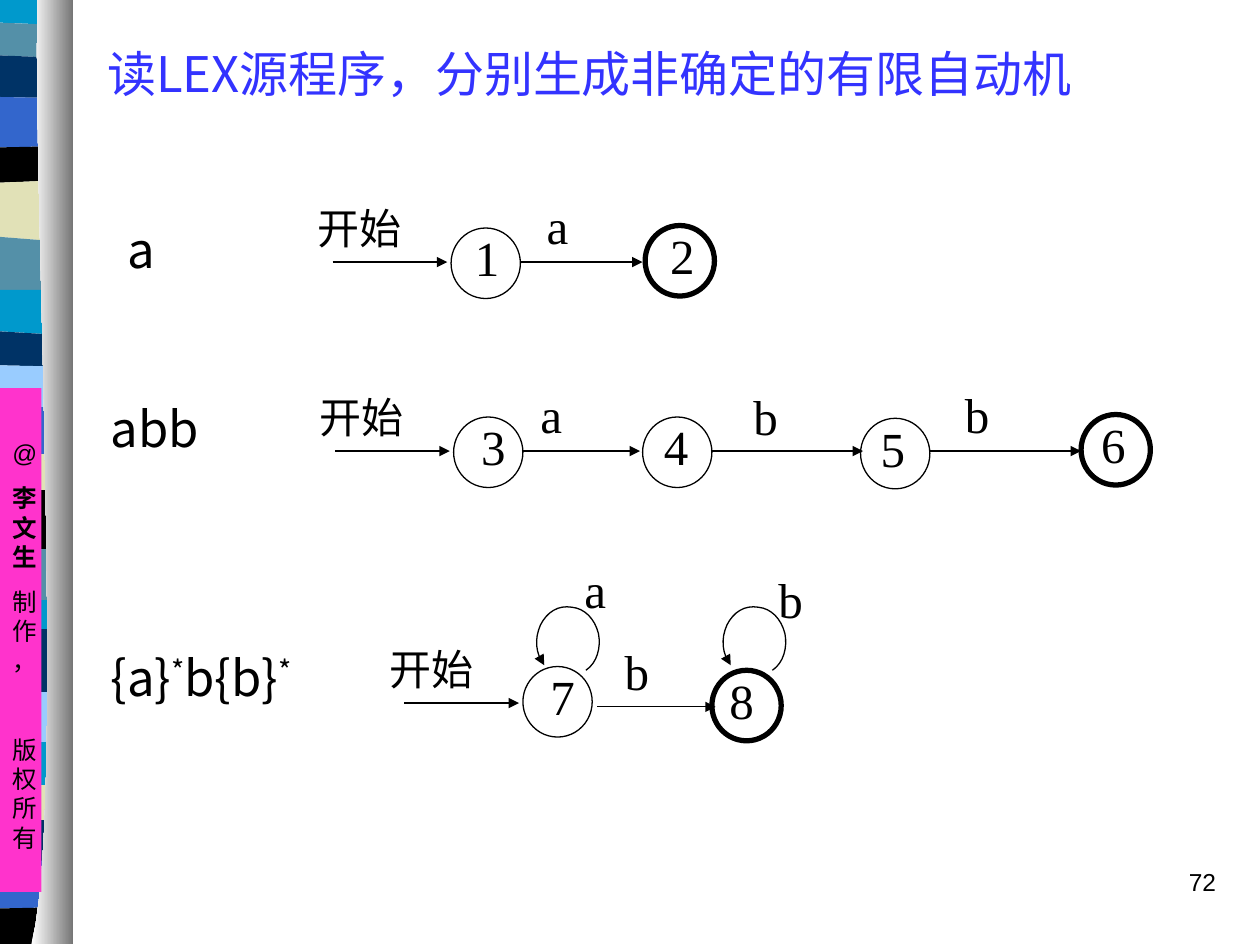
from lxml import etree
from pptx import Presentation
from pptx.dml.color import RGBColor
from pptx.enum.shapes import MSO_CONNECTOR, MSO_SHAPE
from pptx.enum.text import MSO_ANCHOR, PP_ALIGN
from pptx.oxml.ns import qn
from pptx.util import Inches, Pt

LINE = MSO_CONNECTOR.STRAIGHT
OVAL, RECT = MSO_SHAPE.OVAL, MSO_SHAPE.RECTANGLE
LEFT, MID, RIGHT = PP_ALIGN.LEFT, PP_ALIGN.CENTER, PP_ALIGN.RIGHT
SANS, SERIF, ARIAL = "Noto Sans CJK SC", "Times New Roman", "Arial"
HUES = {"text": "000000", "title": "3333FF", "pink": "FF33CC",
        "white": "FFFFFF", "grey": "767676", "cyan": "0099CC",
        "teal": "5490A8", "navy": "003366", "blue": "3366CC",
        "black": "000000", "sand": "E1E1B7", "sky": "99CCFF"}

# Colour of each stripe, with the height of its top edge at left and right
BANDS = [("cyan", 0, 0), ("teal", 0.18, 0.2), ("navy", 0.44, 0.46),
         ("blue", 0.77, 0.78), ("black", 1.17, 1.16), ("sand", 1.45, 1.43),
         ("teal", 1.88, 1.92), ("cyan", 2.3, 2.3), ("navy", 2.63, 2.66),
         ("sky", 2.9, 2.91), ("blue", 3.23, 3.23), ("sand", 3.6, 3.6),
         ("black", 3.89, 3.89), ("teal", 4.36, 4.36), ("cyan", 4.76, 4.76),
         ("navy", 4.99, 4.99), ("sky", 5.49, 5.49), ("cyan", 5.89, 5.89),
         ("sand", 6.23, 6.23), ("navy", 6.51, 6.51), ("blue", 6.83, 6.83),
         ("black", 7.21, 7.2)]
LOOP = [(0.4, 0.51), (0.49, 0.45), (0.52, 0.33), (0.5, 0.22),
        (0.47, 0.1), (0.39, 0.02), (0.29, 0.01),
        (0.18, -0.01), (0.09, 0.05), (0.04, 0.15),
        (-0.01, 0.26), (0, 0.38), (0.07, 0.47)]


def rgb(name):
    return RGBColor.from_string(HUES[name])


def style(para, size, font, hue="text", align=LEFT):
    para.alignment = align
    para.font.size, para.font.name = Pt(size), font
    para.font.color.rgb = rgb(hue)
    face = para._p.pPr.find(qn("a:defRPr"))
    etree.SubElement(face, qn("a:ea")).set("typeface", SANS)


def label(slide, text, box, size=28, font=SERIF, align=LEFT):
    frame = slide.shapes.add_textbox(*map(Inches, box)).text_frame
    frame.word_wrap = True
    para = frame.paragraphs[0]
    para.text = text
    style(para, size, font, align=align)
    return para


def curve(knots, steps=8):
    """Sample a chain of cubic curves whose knots share end points."""
    points = [knots[0]]
    for i in range(0, len(knots) - 1, 3):
        for n in range(1, steps + 1):
            t = n / steps
            parts = ((1 - t) ** 3, 3 * t * (1 - t) ** 2,
                     3 * t * t * (1 - t), t ** 3)
            points.append(tuple(
                sum(w * k[axis] for w, k in zip(parts, knots[i:i + 4]))
                for axis in (0, 1)))
    return points


def outline(slide, points, close=True):
    spots = [(Inches(x), Inches(y)) for x, y in points]
    pen = slide.shapes.build_freeform(*spots[0])
    pen.add_line_segments(spots[1:], close=close)
    shape = pen.convert_to_shape()
    shape.shadow.inherit = False
    if close:
        shape.line.fill.background()
    else:
        shape.fill.background()
    return shape


def ink(shape, width=0.75):
    shape.line.color.rgb = rgb("black")
    shape.line.width = Pt(width)


def tip(shape):
    """Put an arrowhead at the end of a line."""
    line = shape.line._get_or_add_ln()
    etree.SubElement(line, qn("a:tailEnd")).set("type", "triangle")


def arrow(slide, x1, x2, y):
    line = slide.shapes.add_connector(
        LINE, Inches(x1), Inches(y), Inches(x2), Inches(y))
    ink(line)
    tip(line)
    etree.SubElement(line._element.spPr, qn("a:effectLst"))


def stripes(slide, left, top, width, height):
    ends = BANDS[1:] + [("", height, height)]
    for (hue, y1, y2), (_, y3, y4) in zip(BANDS, ends):
        band = outline(slide, [
            (left, top + y1), (left + width, top + y2),
            (left + width, top + y4), (left, top + y3)])
        band.fill.solid()
        band.fill.fore_color.rgb = rgb(hue)


def ribbon(slide, left, top, width, height):
    edge = curve([(left, top), (left - 0.05, top + 1.25),
                  (left + 0.23, top + 6.46), (left - 0.05, top + height)], 24)
    right = left + width
    shape = outline(slide, edge + [(right, top + height), (right, top)])
    shape.fill.gradient()
    shape.fill.gradient_angle = 0
    for stop, hue in zip(shape.fill.gradient_stops, ("white", "grey")):
        stop.color.rgb = rgb(hue)


def credit(slide, *box):
    shape = slide.shapes.add_shape(RECT, *map(Inches, box))
    shape.shadow.inherit = False
    shape.fill.solid()
    shape.fill.fore_color.rgb = rgb("pink")
    shape.line.fill.background()
    frame = shape.text_frame
    frame.word_wrap = True
    frame.vertical_anchor = MSO_ANCHOR.TOP
    frame.margin_top = Inches(0.4)
    rows = [("@", 8.8), ("李文生", 8.8), ("制作，", 8.8), ("版权所有", 34)]
    for i, (text, gap) in enumerate(rows):
        para = frame.add_paragraph() if i else frame.paragraphs[0]
        para.text = text
        style(para, 14, ARIAL, align=MID)
        para.space_before = Pt(gap)
        para.font.bold = i == 1


def heading(slide, *box):
    title = slide.shapes.title
    title.left, title.top, title.width, title.height = map(Inches, box)
    title.text = "读LEX源程序，分别生成非确定的有限自动机"
    title.text_frame.vertical_anchor = MSO_ANCHOR.MIDDLE
    style(title.text_frame.paragraphs[0], 28, SANS, "title")


def graph(slide, left, mid, states, edges, marks, drop=0, loops=()):
    """Draw an automaton about the line mid; its last state is final."""
    label(slide, "开始", (left, mid - 0.52, 1.21, 0.65), 24)
    arrow(slide, left + 0.22, left + 1.13, mid)
    for text, x, y, nudge in states:
        x, y = left + x, mid + y
        ring = slide.shapes.add_shape(
            OVAL, *map(Inches, (x, y, 0.55, 0.56)))
        ring.shadow.inherit = False
        ring.fill.background()
        ink(ring, 3 if text == states[-1][0] else 0.75)
        label(slide, text, (x + nudge, y - 0.05, 0.61, 0.65))
    for start, end in edges:
        arrow(slide, left + start, left + end, mid + drop)
    for x in loops:
        loop = outline(slide, [(left + x + a, mid - 0.77 + b)
                               for a, b in curve(LOOP)], close=False)
        ink(loop)
        tip(loop)
    for text, x, y in marks:
        label(slide, text, (left + x, mid + y, 0.75, 0.77))


def regex(slide, text, *box):
    """Write a pattern with its stars raised."""
    para = label(slide, "", box, font=SANS)
    for part in text.replace("*", " * ").split():
        run = para.add_run()
        run.text = part
        if part == "*":
            run._r.get_or_add_rPr().set("baseline", "30000")


def main():
    deck = Presentation()
    deck.slide_width, deck.slide_height = Inches(10), Inches(7.5)
    slide = deck.slides.add_slide(deck.slide_layouts[5])
    stripes(slide, 0, 0, 0.5, 7.49)
    ribbon(slide, 0.3, 0, 0.28, 7.49)
    credit(slide, 0, 3.08, 0.33, 4)
    heading(slide, 0.75, 0.08, 8.83, 1)
    graph(slide, 2.42, 2.08,
          [("1", 1.16, -0.27, 0.09), ("2", 2.7, -0.29, 0.1)],
          [(1.71, 2.68)], [("a", 1.82, -0.58)])
    graph(slide, 2.44, 3.58,
          [("3", 1.16, -0.27, 0.12), ("4", 2.66, -0.27, 0.07),
           ("5", 4.39, -0.26, 0.06), ("6", 6.14, -0.29, 0.06)],
          [(1.7, 2.64), (3.2, 4.41), (4.93, 6.14)],
          [("a", 1.75, -0.58), ("b", 3.44, -0.56), ("b", 5.12, -0.58)])
    graph(slide, 2.99, 5.58,
          [("7", 1.16, -0.29, 0.12), ("8", 2.66, -0.26, 0.04)],
          [(1.75, 2.69)],
          [("b", 1.87, -0.54), ("a", 1.55, -1.19), ("b", 3.09, -1.11)],
          drop=0.03, loops=(1.26, 2.74))
    regex(slide, "a", 0.91, 1.69, 0.68, 0.57)
    regex(slide, "abb", 0.78, 3.11, 1.11, 0.57)
    regex(slide, "{a}*b{b}*", 0.78, 5.09, 1.9, 0.57)
    number = label(slide, "72", (7.67, 6.83, 2.08, 0.5), 14, ARIAL, RIGHT)
    number.space_before = Pt(8.8)
    deck.save("out.pptx")


if __name__ == "__main__":
    main()
